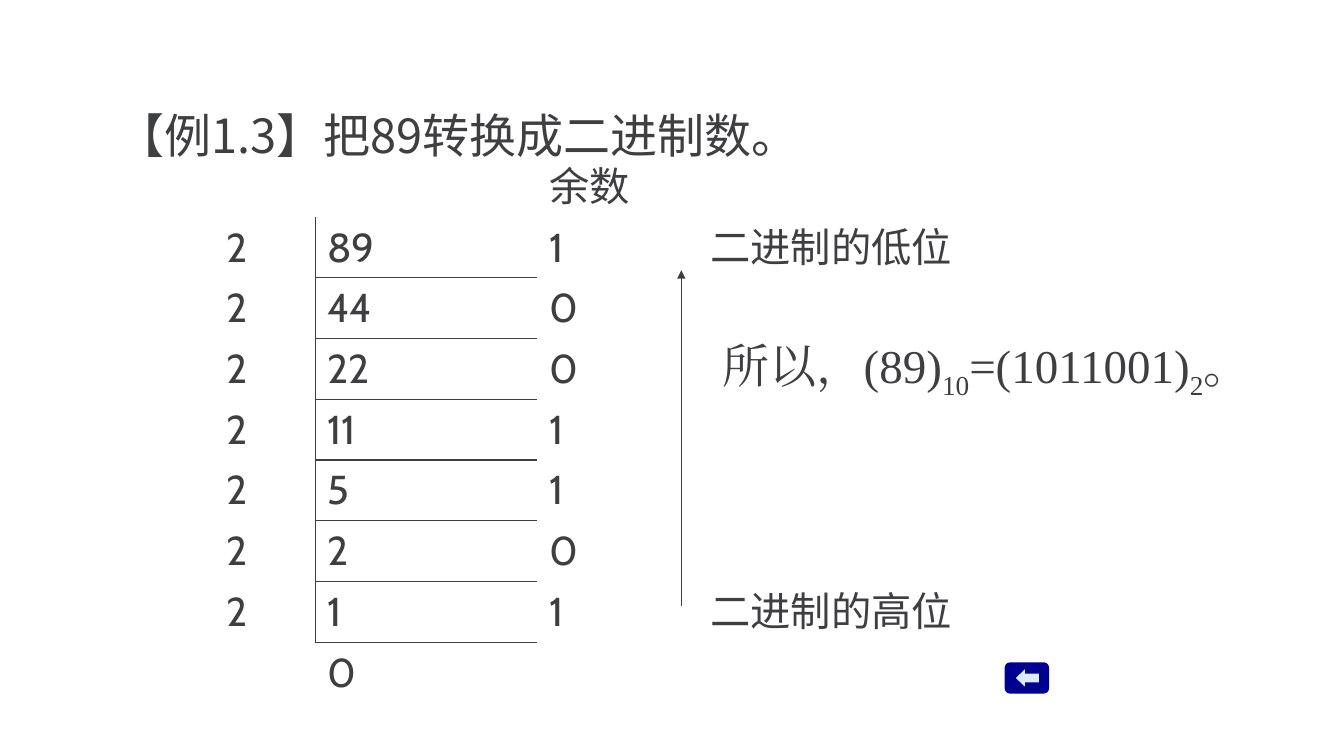
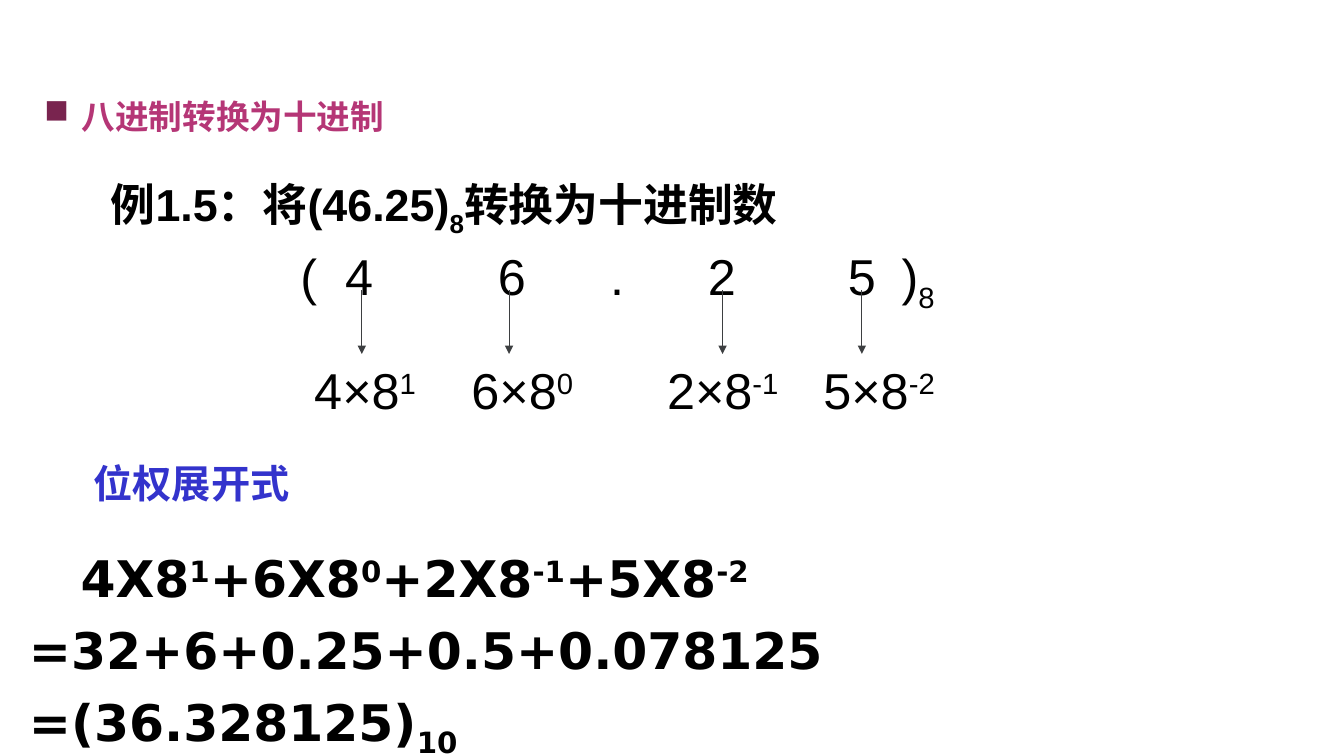
import pptx
import pptx.dml.color
import pptx.enum.shapes
import pptx.enum.text
import pptx.oxml
import pptx.oxml.ns
import pptx.util

Cm = pptx.util.Cm
Pt = pptx.util.Pt
SHAPES = pptx.enum.shapes.MSO_SHAPE
JUSTIFY = pptx.enum.text.PP_ALIGN.JUSTIFY

INK = "3D3F41"
BLACK = "000000"
BLUE = "3333CC"
PINK = "B53676"
PLUM = "79244F"
NAVY = "000090"
ICE = "E0EAFF"

BASELINES = {"_": "-25000", "^": "30000"}


def colour(value):
    return pptx.dml.color.RGBColor.from_string(value)


def add_xml(parent, markup):
    """Append one element, written with the a: prefix, to parent."""
    head, mark, rest = markup.partition(" ")
    namespace = pptx.oxml.ns.nsdecls("a")
    parent.append(pptx.oxml.parse_xml(f"{head} {namespace} {rest}"))


def write(para, text, font="Arial", size=36, ink=BLACK, bold=False, align=None,
          line=None, before=None, hanging=0, indent=0, bullet=None, tabs=()):
    """Fill a paragraph; a list part led by _ or ^ is lowered or raised."""
    para.alignment = align
    para.line_spacing = line
    para.space_before = before
    properties = para._p.get_or_add_pPr()
    if hanging:
        properties.set("marL", str(Cm(hanging)))
        properties.set("indent", str(Cm(indent)))
    if bullet:
        add_xml(properties, f'<a:buClr ><a:srgbClr val="{PLUM}"/></a:buClr>')
        add_xml(properties, f'<a:buChar char="{bullet}"/>')
    if tabs:
        stops = "".join(f'<a:tab pos="{Cm(place)}" algn="{kind}"/>' for place, kind in tabs)
        add_xml(properties, f"<a:tabLst >{stops}</a:tabLst>")
    for part in [text] if isinstance(text, str) else text:
        span = para.add_run()
        shift = BASELINES.get(part[0])
        span.text = part[1:] if shift else part
        span.font.name = font
        span.font.size = Pt(size)
        span.font.bold = bold
        span.font.color.rgb = colour(ink)
        span_properties = span._r.get_or_add_rPr()
        add_xml(span_properties, f'<a:ea typeface="{font}"/>')
        if shift:
            span_properties.set("baseline", shift)


class Deck:
    def __init__(self):
        self.file = pptx.Presentation()
        self.file.slide_width = Cm(33.87)
        self.file.slide_height = Cm(19.05)
        self.page = None

    def new_page(self):
        self.page = self.file.slides.add_slide(self.file.slide_layouts[6])

    def text(self, left, top, width, height, *paragraphs, inset=True, **style):
        """Add a text box; a paragraph may be (text, extra style)."""
        box = self.page.shapes.add_textbox(Cm(left), Cm(top), Cm(width), Cm(height))
        frame = box.text_frame
        frame.word_wrap = True
        if not inset:
            frame.margin_left = frame.margin_right = 0
            frame.margin_top = frame.margin_bottom = 0
        for index, content in enumerate(paragraphs):
            para = frame.add_paragraph() if index else frame.paragraphs[0]
            text, extra = content if isinstance(content, tuple) else (content, {})
            write(para, text, **{**style, **extra})

    def shape(self, kind, left, top, width, height, fill, adjustments):
        shape = self.page.shapes.add_shape(kind, Cm(left), Cm(top), Cm(width), Cm(height))
        shape.shadow.inherit = False
        shape.fill.solid()
        shape.fill.fore_color.rgb = colour(fill)
        shape.line.fill.background()
        for index, value in enumerate(adjustments):
            shape.adjustments[index] = value

    def arrow(self, x, start, end):
        """Add a vertical arrow that points at end."""
        arrow = self.page.shapes.add_connector(
            pptx.enum.shapes.MSO_CONNECTOR.STRAIGHT, Cm(x), Cm(start), Cm(x), Cm(end))
        arrow.line.color.rgb = colour(INK)
        arrow.line.width = Pt(0.75)
        add_xml(arrow.line._get_or_add_ln(), '<a:tailEnd type="triangle"/>')
        add_xml(arrow._element.spPr, "<a:effectLst />")

    def table(self, left, top, widths, row_height, rows, borders):
        """Add a plain table; borders(row, column) names the ruled sides."""
        table = self.page.shapes.add_table(
            len(rows), len(widths), Cm(left), Cm(top),
            Cm(sum(widths)), Cm(row_height * len(rows))).table
        table.first_row = table.horz_banding = False
        for column, width in zip(table.columns, widths):
            column.width = Cm(width)
        for row, texts in enumerate(rows):
            table.rows[row].height = Cm(row_height)
            for column, text in enumerate(texts):
                cell = table.cell(row, column)
                cell.margin_left = cell.margin_right = Cm(0.3)
                cell.margin_top = cell.margin_bottom = Cm(0.15)
                if text:
                    write(cell.text_frame.paragraphs[0], text, font="Cabin", size=28.8, ink=INK)
                self.rule(cell, borders(row, column))
                cell.fill.background()

    def rule(self, cell, sides):
        solid = f'<a:solidFill><a:srgbClr val="{INK}"/></a:solidFill>'
        for side in "LRTB":
            paint = solid if side in sides else "<a:noFill/>"
            add_xml(cell._tc.get_or_add_tcPr(),
                    f'<a:ln{side} w="{Pt(1)}">{paint}</a:ln{side}>')


def division_rows(number):
    """Rows of repeated division by two: divisor, number, remainder, note."""
    rows = [["", "", "余数", ""]]
    while number:
        rows.append(["2", str(number), str(number % 2), ""])
        number //= 2
    rows[1][3] = "二进制的低位"
    rows[-1][3] = "二进制的高位"
    return rows + [["", "0", "", ""]]


def binary_page(deck):
    deck.new_page()
    rows = division_rows(89)
    last = len(rows) - 1

    def borders(row, column):
        divided = 0 < row < last
        if column == 0:
            return "R" if divided else ""
        if column == 1:
            return ("LB" if divided else "") + ("T" if row > 1 else "")
        return ""

    deck.shape(SHAPES.ROUNDED_RECTANGLE, 25.32, 16.69, 1.12, 0.79, NAVY, [0.17])
    deck.shape(SHAPES.LEFT_ARROW, 25.6, 16.87, 0.58, 0.43, ICE, [0.52, 0.53])
    deck.text(2.95, 2.69, 17.78, 1.12, "【例1.3】把89转换成二进制数。", inset=False,
              font="Noto Sans CJK SC", size=33.6, ink=INK, align=JUSTIFY, line=Pt(40))
    deck.table(5.41, 3.94, [2.54, 5.59, 4.06, 10.41], 1.53, rows, borders)
    deck.arrow(17.17, 15.27, 6.81)
    deck.text(18.21, 8.48, 14.22, 1.47, ["所以，(89)", "_10", "=(1011001)", "_2", "。"],
              inset=False, font="Times New Roman", size=33.6, ink=INK, align=JUSTIFY)


def octal_page(deck):
    deck.new_page()
    deck.text(0.86, 1.78, 18.97, 2.01, "八进制转换为十进制", size=24, ink=PINK, bold=True,
              line=1.5, hanging=0.95, indent=-0.95, bullet="■")
    deck.text(2.54, 4.34, 20.88, 1.63, ["例1.5：将(46.25)", "_8", "转换为十进制数"],
              size=32, bold=True)

    centres = [(place, "ctr") for place in (1.48, 5.33, 7.98, 10.62, 14.15)]
    deck.text(7.32, 6.05, 17.7, 1.8, ["(\t4\t6\t.\t2\t5\t)", "_8"],
              tabs=centres + [(15.15, "l")])
    terms = [("4", "1", 9.12, 7.67), ("6", "0", 12.83, 11.63),
             ("2", "-1", 18.21, 16.56), ("5", "-2", 21.72, 20.5)]
    for digit, power, arrow_x, left in terms:
        deck.arrow(arrow_x, 7.32, 8.92)
        deck.text(left, 8.92, 3.9, 1.8, [f"{digit}×8", f"^{power}"])

    expansion = []
    for digit, power, *places in terms:
        sign = "+" if expansion else ""
        expansion += [f"{sign}{digit}X8", f"^{power}"]
    deck.text(0.48, 13.67, 33.35, 3.53,
              (expansion, {"indent": 0, "before": None}),
              "=32+6+0.25+0.5+0.078125",
              ["=(36.328125)", "_10"],
              font="DejaVu Sans", bold=True, before=Pt(8), hanging=1.3, indent=-1.3)
    deck.text(2.11, 11.46, 5.51, 1.45, "位权展开式",
              font="DejaVu Sans", size=28, ink=BLUE, bold=True)


def main():
    deck = Deck()
    binary_page(deck)
    octal_page(deck)
    deck.file.save("out.pptx")


if __name__ == "__main__":
    main()
